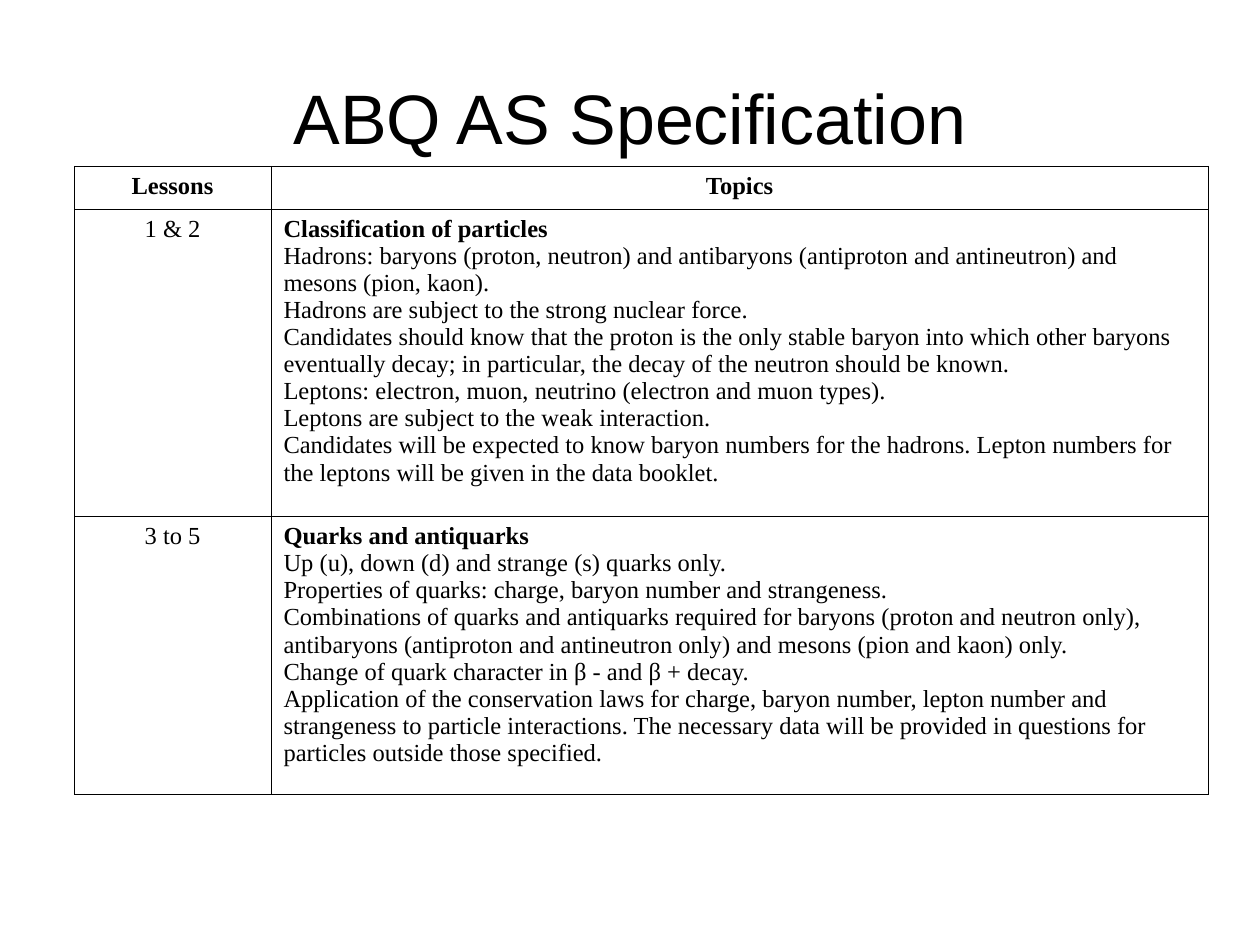
from lxml.etree import SubElement
from pptx import Presentation
from pptx.dml.color import RGBColor
from pptx.enum.text import MSO_ANCHOR as Anchor, PP_ALIGN as Align
from pptx.oxml.ns import qn
from pptx.util import Inches, Pt

COLOURS = {"text": "000000", "border": "000000", "background": "FFFFFF"}
TITLE_FORMAT = {"name": "Arial", "size": Pt(40)}
BODY_FORMAT = {"name": "Times New Roman", "size": Pt(14), "bold": False}
HEADING_FORMAT = BODY_FORMAT | {"bold": True}

COLUMN_WIDTHS = [1.56, 7.44]
ROW_HEIGHTS = [0.34, 2.44, 2.2]
LESSONS = [
    ("1 & 2", [
        "Classification of particles",
        "Hadrons: baryons (proton, neutron) and antibaryons (antiproton and antineutron) and mesons (pion, kaon).",
        "Hadrons are subject to the strong nuclear force.",
        "Candidates should know that the proton is the only stable baryon into which other baryons "
        "eventually decay; in particular, the decay of the neutron should be known.",
        "Leptons: electron, muon, neutrino (electron and muon types).",
        "Leptons are subject to the weak interaction.",
        "Candidates will be expected to know baryon numbers for the hadrons. "
        "Lepton numbers for the leptons will be given in the data booklet.",
    ]),
    ("3 to 5", [
        "Quarks and antiquarks",
        "Up (u), down (d) and strange (s) quarks only.",
        "Properties of quarks: charge, baryon number and strangeness.",
        "Combinations of quarks and antiquarks required for baryons (proton and neutron only), "
        "antibaryons (antiproton and antineutron only) and mesons (pion and kaon) only.",
        "Change of quark character in β - and β + decay.",
        "Application of the conservation laws for charge, baryon number, lepton number and "
        "strangeness to particle interactions. The necessary data will be provided in questions "
        "for particles outside those specified.",
    ]),
]


class SlideBuilder:
    def __init__(self, slide, colours):
        self.slide = slide
        self.colours = colours

    def colour(self, name):
        return RGBColor.from_string(self.colours[name])

    def paragraphs(self, text_frame, lines, formats, alignment):
        """Add one paragraph per line, each with its own font format."""
        for index, (line, font_format) in enumerate(zip(lines, formats)):
            paragraph = text_frame.add_paragraph() if index else text_frame.paragraphs[0]
            paragraph.alignment = alignment
            run = paragraph.add_run()
            run.text = line
            run.font.color.rgb = self.colour("text")
            for attribute, value in font_format.items():
                setattr(run.font, attribute, value)

    def title(self, text, left, top, width, height):
        box = self.slide.shapes.add_textbox(*map(Inches, (left, top, width, height)))
        box.text_frame.word_wrap = True
        box.text_frame.vertical_anchor = Anchor.MIDDLE
        self.paragraphs(box.text_frame, [text], [TITLE_FORMAT], Align.CENTER)

    def cell(self, cell, lines, formats, alignment):
        cell.fill.solid()
        cell.fill.fore_color.rgb = self.colour("background")
        self.paragraphs(cell.text_frame, lines, formats, alignment)
        self.borders(cell)

    def borders(self, cell):
        properties = cell._tc.get_or_add_tcPr()
        for position, side in enumerate(("lnL", "lnR", "lnT", "lnB")):
            line = SubElement(properties, qn(f"a:{side}"), w=str(Pt(0.45)))
            fill = SubElement(line, qn("a:solidFill"))
            SubElement(fill, qn("a:srgbClr"), val=self.colours["border"])
            properties.insert(position, line)  # borders must precede the cell fill

    def lesson_table(self, left, top):
        frame = self.slide.shapes.add_table(
            len(ROW_HEIGHTS), len(COLUMN_WIDTHS), Inches(left), Inches(top),
            Inches(sum(COLUMN_WIDTHS)), Inches(sum(ROW_HEIGHTS)))
        table = frame.table
        table.first_row = table.horz_banding = False
        for column, width in zip(table.columns, COLUMN_WIDTHS):
            column.width = Inches(width)
        for row, height in zip(table.rows, ROW_HEIGHTS):
            row.height = Inches(height)

        for column, heading in enumerate(("Lessons", "Topics")):
            self.cell(table.cell(0, column), [heading], [HEADING_FORMAT], Align.CENTER)
        for row, (lesson, topics) in enumerate(LESSONS, start=1):
            self.cell(table.cell(row, 0), [lesson], [BODY_FORMAT], Align.CENTER)
            formats = [HEADING_FORMAT] + [BODY_FORMAT] * (len(topics) - 1)
            self.cell(table.cell(row, 1), topics, formats, Align.LEFT)


def main():
    presentation = Presentation()
    presentation.slide_width = Inches(10)
    presentation.slide_height = Inches(7.5)
    slide = presentation.slides.add_slide(presentation.slide_layouts[6])
    builder = SlideBuilder(slide, COLOURS)
    slide.background.fill.solid()
    slide.background.fill.fore_color.rgb = builder.colour("background")
    builder.title("ABQ AS Specification", 0.5, 0.3, 9, 1.25)
    builder.lesson_table(0.59, 1.32)
    presentation.save("out.pptx")


if __name__ == "__main__":
    main()
